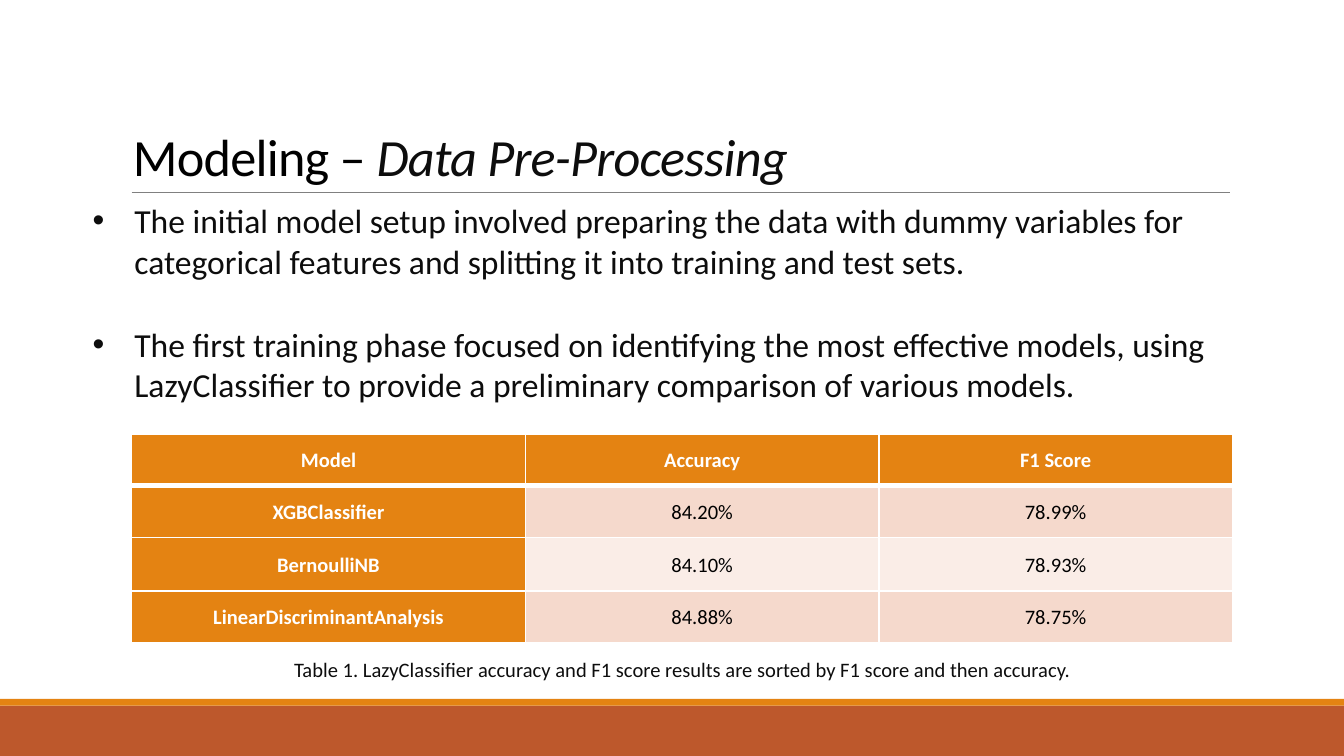
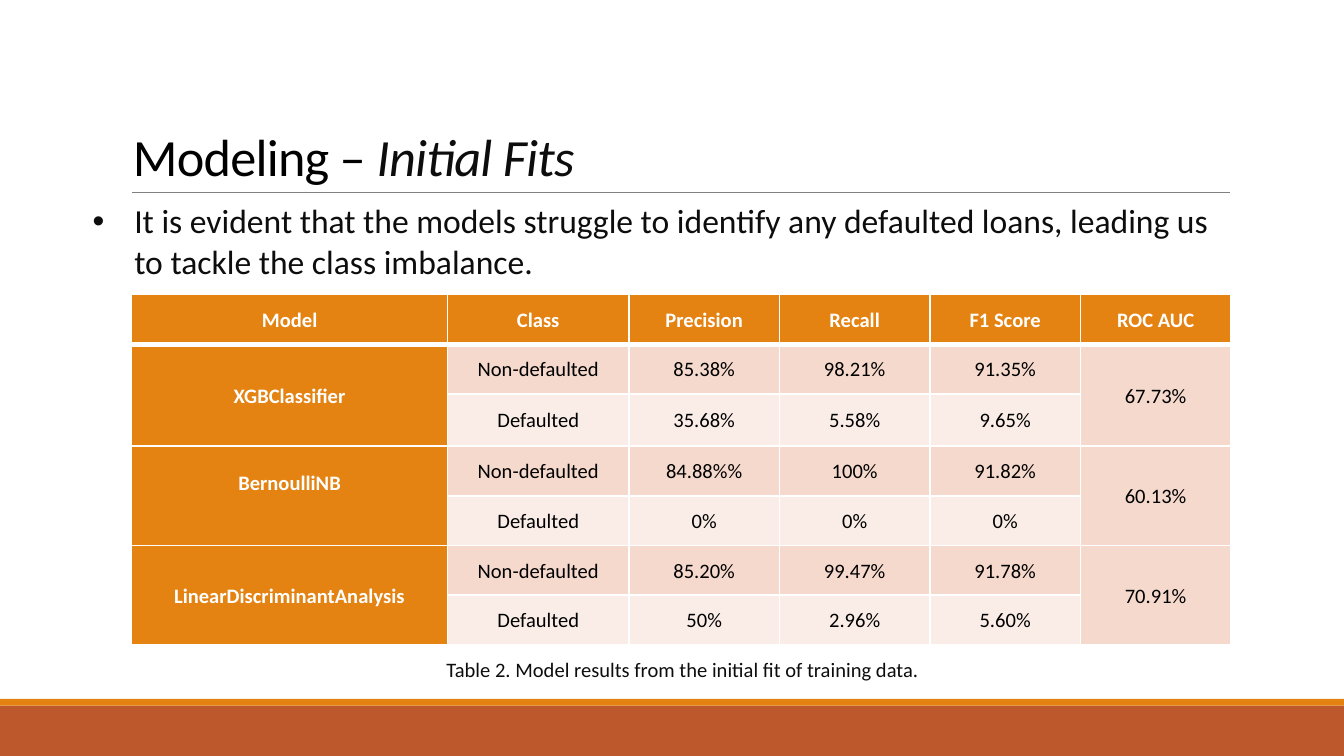
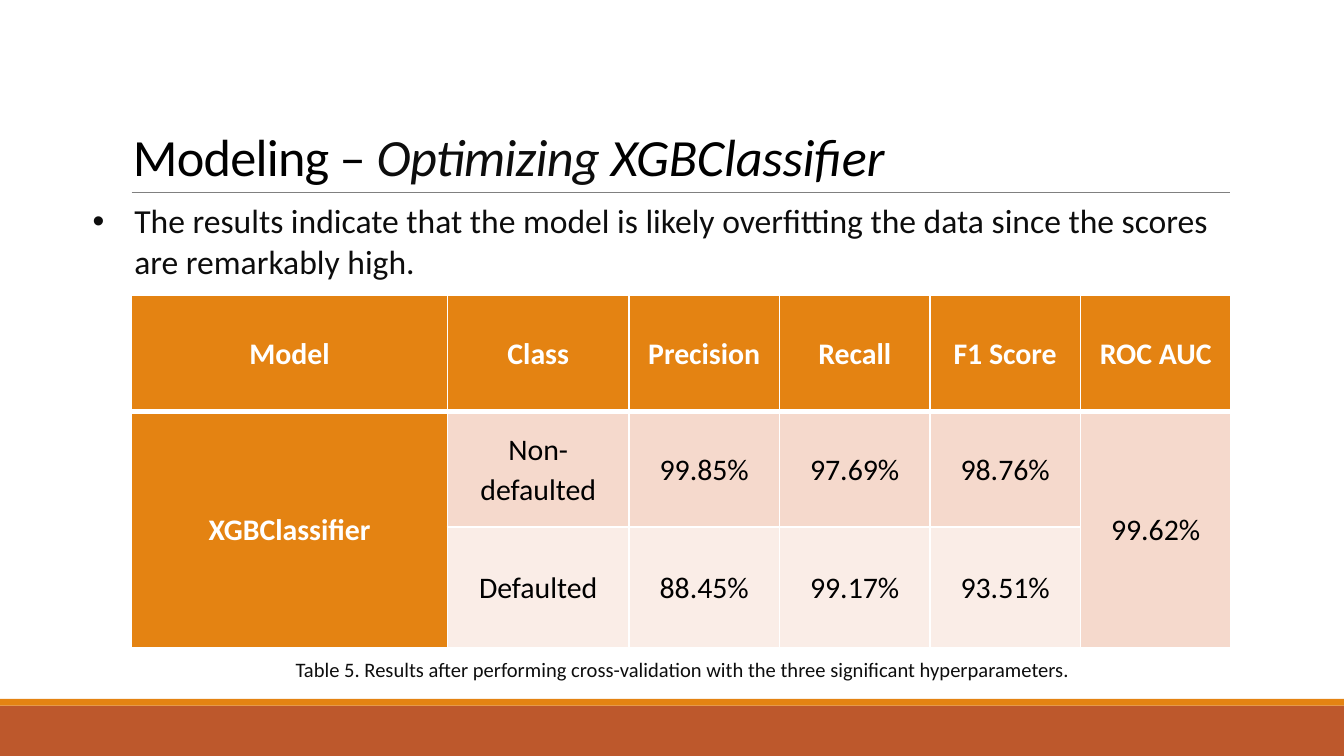
from lxml import etree
from pptx import Presentation
from pptx import util as u
from pptx.dml.color import RGBColor
from pptx.enum import shapes, text
from pptx.oxml.ns import qn

FONT = "Calibri"
BLACK, INK, WHITE, GREY = "000000", "0D0D0D", "FFFFFF", "808080"
ORANGE, RUST = "E48312", "BD582C"
BANDS = ("FAEDE7", "F5D9CC")  # even and odd table rows
LEFT, TABLE_WIDTH = 0.98, 8.19

SCORE_COLUMNS = [2.35, 1.35] + [1.12] * 4
SCORE_HEADER = ["Model", "Class", "Precision", "Recall", "F1 Score", "ROC AUC"]


def rgb(value):
    return RGBColor.from_string(value)


def inches(*lengths):
    return [u.Inches(length) for length in lengths]


class Report:
    """Holds the deck's style and the page being filled."""

    def __init__(self):
        self.deck = Presentation()
        self.deck.slide_width = u.Inches(10)
        self.deck.slide_height = u.Inches(10 * 9 / 16)
        self.page = None

    def start_page(self, topic, model="", width=4.94):
        self.page = self.deck.slides.add_slide(self.deck.slide_layouts[6])
        self.band(5.25, 0.38, RUST)
        self.band(5.2, 0.05, ORANGE)
        self.rule(LEFT, 9.15, 1.43)
        self.title(topic, model, width)

    def band(self, top, height, color):
        box = self.page.shapes.add_shape(
            shapes.MSO_SHAPE.RECTANGLE, *inches(0, top, 10, height))
        box.shadow.inherit = False
        box.fill.solid()
        box.fill.fore_color.rgb = rgb(color)
        box.line.fill.background()

    def rule(self, start, end, top):
        line = self.page.shapes.add_connector(
            shapes.MSO_CONNECTOR.STRAIGHT, *inches(start, top, end, top))
        line.line.color.rgb = rgb(GREY)
        line.line.width = u.Pt(0.5)
        etree.SubElement(line._element.spPr, qn("a:effectLst"))

    def text_box(self, left, top, width, height, indent=0.01):
        frame = self.page.shapes.add_textbox(
            *inches(left, top, width, height)).text_frame
        frame.word_wrap = True
        frame.auto_size = text.MSO_AUTO_SIZE.SHAPE_TO_FIT_TEXT
        frame.margin_left, frame.margin_top = inches(indent, 0.01)
        frame.margin_right = frame.margin_bottom = 0
        return frame

    def style(self, span, size, color, bold=False, italic=False):
        font = span.font
        font.name, font.size = FONT, u.Pt(size)
        font.bold, font.italic = bold, italic
        font.color.rgb = rgb(color)

    def title(self, topic, model, width):
        frame = self.text_box(LEFT, 0.9, width, 0.49)
        frame.vertical_anchor = text.MSO_ANCHOR.BOTTOM
        para = frame.paragraphs[0]
        para.space_before = u.Pt(1)
        parts = [("Modeling – ", BLACK, False, -40),
                 (topic, INK, True, -40),
                 (model, BLACK, True, -10)]
        for words, color, italic, tracking in parts:
            if words:
                span = para.add_run()
                span.text = words
                self.style(span, 28, color, italic=italic)
                span._r.get_or_add_rPr().set("spc", str(tracking))

    def bullets(self, points, height=0.62):
        frame = self.text_box(0.67, 1.48, 8.5, height, indent=0)
        frame.text = "\n".join(points)
        for index, para in enumerate(frame.paragraphs):
            para.space_before = u.Pt(23 if index else 1)
            self.style(para.runs[0], 18, INK)
            props = para._p.get_or_add_pPr()
            props.set("marL", str(u.Inches(0.33)))
            props.set("indent", str(u.Inches(-0.31)))
            etree.SubElement(props, qn("a:buFont"), typeface="Arial")
            etree.SubElement(props, qn("a:buChar"), char="•")

    def caption(self, words):
        para = self.text_box(LEFT, 4.88, TABLE_WIDTH, 0.2).paragraphs[0]
        para.text = words
        para.alignment = text.PP_ALIGN.CENTER
        para.space_before = u.Pt(1)
        self.style(para.runs[0], 11, INK)

    def table(self, top, widths, heights, rows, size=11):
        """Draw a banded table; a None value merges with the cell above."""
        grid = self.page.shapes.add_table(
            len(rows), len(widths),
            *inches(LEFT, top, TABLE_WIDTH, sum(heights))).table
        grid.horz_banding = False
        for column, width in zip(grid.columns, widths):
            column.width = u.Inches(width)
        for row, height in zip(grid.rows, heights):
            row.height = u.Inches(height)
        for r, values in enumerate(rows):
            for c, value in enumerate(values):
                cell = grid.cell(r, c)
                heading = r == 0 or c == 0
                self.cell_borders(cell, r)
                cell.fill.solid()
                cell.fill.fore_color.rgb = rgb(ORANGE if heading else BANDS[r % 2])
                if value is None:
                    grid.cell(r - 1, c).merge(cell)
                else:
                    self.cell_text(cell, value, size, heading)
        return grid

    def cell_text(self, cell, value, size, heading):
        cell.vertical_anchor = text.MSO_ANCHOR.MIDDLE
        cell.margin_left = cell.margin_right = u.Inches(0.07)
        cell.margin_top = cell.margin_bottom = 0
        para = cell.text_frame.paragraphs[0]
        para.text = value
        para.alignment = text.PP_ALIGN.CENTER
        para.line_spacing = 1.07
        self.style(para.runs[0], size, WHITE if heading else BLACK, bold=heading)

    def cell_borders(self, cell, row):
        """White borders, thick between the header and the first row."""
        widths = {"lnL": 1, "lnR": 1,
                  "lnT": 3 if row == 1 else 1, "lnB": 3 if row == 0 else 1}
        props = cell._tc.get_or_add_tcPr()
        for side, width in widths.items():
            line = etree.SubElement(props, qn("a:" + side), w=str(u.Pt(width)))
            fill = etree.SubElement(line, qn("a:solidFill"))
            etree.SubElement(fill, qn("a:srgbClr"), val=WHITE)


def score_rows(model, non_defaulted, defaulted, roc_auc):
    return [[model, "Non-defaulted", *non_defaulted, roc_auc],
            [None, "Defaulted", *defaulted, None]]


def preprocessing_page(report):
    report.start_page("Data Pre-Processing")
    report.bullets([
        "The initial model setup involved preparing the data with dummy variables "
        "for categorical features and splitting it into training and test sets.",
        "The first training phase focused on identifying the most effective models, "
        "using LazyClassifier to provide a preliminary comparison of various models.",
    ], height=1.56)
    report.table(3.23, [2.93, 2.63, 2.63], [0.38, 0.39, 0.4, 0.38], [
        ["Model", "Accuracy", "F1 Score"],
        ["XGBClassifier", "84.20%", "78.99%"],
        ["BernoulliNB", "84.10%", "78.93%"],
        ["LinearDiscriminantAnalysis", "84.88%", "78.75%"],
    ])
    report.caption("Table 1. LazyClassifier accuracy and F1 score results are "
                   "sorted by F1 score and then accuracy.")


def initial_fits_page(report):
    report.start_page("Initial Fits")
    report.bullets(["It is evident that the models struggle to identify any defaulted "
                    "loans, leading us to tackle the class imbalance."])
    scores = report.table(2.19, SCORE_COLUMNS, [0.37, 0.37, 0.39] + [0.37] * 4, [
        SCORE_HEADER,
        *score_rows("XGBClassifier", ["85.38%", "98.21%", "91.35%"],
                    ["35.68%", "5.58%", "9.65%"], "67.73%"),
        *score_rows("BernoulliNB", ["84.88%%", "100%", "91.82%"],
                    ["0%", "0%", "0%"], "60.13%"),
        *score_rows("LinearDiscriminantAnalysis", ["85.20%", "99.47%", "91.78%"],
                    ["50%", "2.96%", "5.60%"], "70.91%"),
    ])
    scores.cell(3, 0).margin_bottom = u.Inches(0.2)  # BernoulliNB sits above centre
    report.caption("Table 2. Model results from the initial fit of training data.")


def optimizing_page(report):
    report.start_page("Optimizing ", "XGBClassifier", width=6.44)
    report.bullets(["The results indicate that the model is likely overfitting the data "
                    "since the scores are remarkably high."])
    report.caption("Table 5. Results after performing cross-validation with the "
                   "three significant hyperparameters.")
    report.table(2.2, SCORE_COLUMNS, [0.86, 0.86, 0.9], [
        SCORE_HEADER,
        *score_rows("XGBClassifier", ["99.85%", "97.69%", "98.76%"],
                    ["88.45%", "99.17%", "93.51%"], "99.62%"),
    ], size=16)


def main():
    report = Report()
    preprocessing_page(report)
    initial_fits_page(report)
    optimizing_page(report)
    report.deck.save("out.pptx")


if __name__ == "__main__":
    main()
